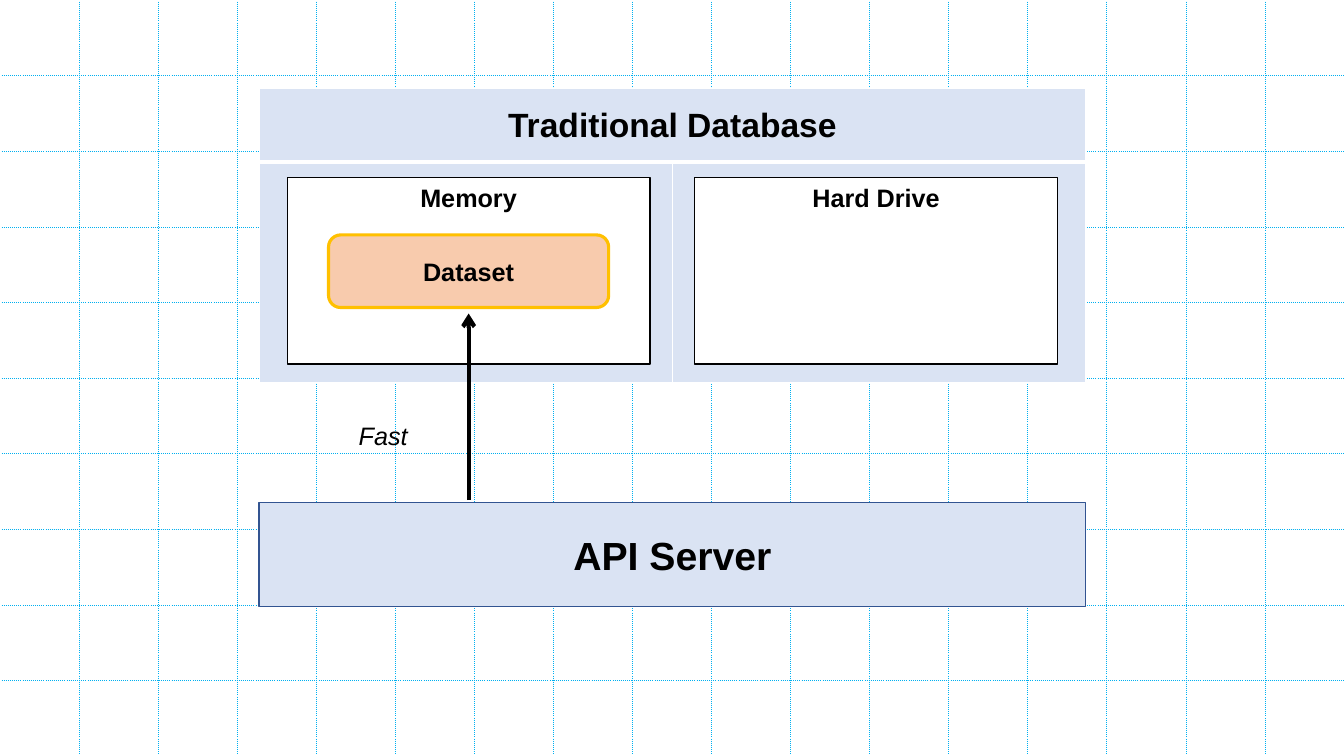
from collections import namedtuple

from lxml import etree
from pptx import Presentation
from pptx import util as u
from pptx.dml.color import RGBColor
from pptx.enum import shapes, text
from pptx.oxml import parse_xml
from pptx.oxml.ns import nsdecls, qn

WHITE = RGBColor(0xFF, 0xFF, 0xFF)
BLACK = RGBColor(0, 0, 0)
PALE_BLUE = RGBColor(0xDA, 0xE3, 0xF3)
NAVY = RGBColor(0x32, 0x54, 0x91)
GRID_BLUE = RGBColor(0x00, 0xB0, 0xF0)
PEACH = RGBColor(0xF8, 0xCB, 0xAD)
AMBER = RGBColor(0xFF, 0xC0, 0x00)

Box = namedtuple("Box", "left top width height")
SLIDE = Box(0, 0, 33.87, 19.05)
DATABASE = Box(6.53, 2.24, 20.83, 7.39)
SERVER = Box(DATABASE.left, 12.67, DATABASE.width, 2.62)
GRID_ROWS, GRID_COLUMNS = 10, 17
HEADING_HEIGHT = 1.85
STORE_INSET = 0.71


def lengths(box):
    """Turn a box in centimetres into slide lengths."""
    return [u.Cm(value) for value in box]


def write(frame, wording, size, anchor=text.MSO_ANCHOR.MIDDLE,
          align=text.PP_ALIGN.CENTER, **style):
    """Fill a text frame with one styled paragraph."""
    frame.text = wording
    frame.vertical_anchor = anchor
    paragraph = frame.paragraphs[0]
    paragraph.alignment = align
    font = paragraph.runs[0].font
    font.color.rgb = BLACK
    for name, value in {"name": "Arial", "size": u.Pt(size), **style}.items():
        setattr(font, name, value)


def add_borders(cell, color, dash, widths):
    """Draw the given sides of a cell, with widths in points."""
    properties = cell._tc.get_or_add_tcPr()
    sides = [side for side in "LRTB" if side in widths]
    for position, side in enumerate(sides):
        properties.insert(position, parse_xml(
            f'<a:ln{side} {nsdecls("a")} w="{u.Pt(widths[side])}">'
            f'<a:solidFill><a:srgbClr val="{color}"/></a:solidFill>'
            f'<a:prstDash val="{dash}"/></a:ln{side}>'))


def add_plain_table(slide, box, rows, columns):
    """Add a table without header or banding."""
    table = slide.shapes.add_table(rows, columns, *lengths(box)).table
    table.first_row = table.horz_banding = False
    return table


def add_grid(slide, box):
    """Cover the box with dotted inner grid lines."""
    grid = add_plain_table(slide, box, GRID_ROWS, GRID_COLUMNS)
    for row in range(GRID_ROWS):
        for column in range(GRID_COLUMNS):
            cell = grid.cell(row, column)
            cell.fill.background()
            inner = {"L": column > 0, "R": column < GRID_COLUMNS - 1,
                     "T": row > 0, "B": row < GRID_ROWS - 1}
            add_borders(cell, GRID_BLUE, "sysDot",
                        {side: 0.25 for side, shown in inner.items() if shown})


def add_block(slide, box, wording, size, fill, line, weight=1,
              kind=shapes.MSO_SHAPE.RECTANGLE, anchor=text.MSO_ANCHOR.MIDDLE):
    """Add a labelled block."""
    block = slide.shapes.add_shape(kind, *lengths(box))
    block.shadow.inherit = False
    block.fill.solid()
    block.fill.fore_color.rgb = fill
    block.line.color.rgb = line
    block.line.width = u.Pt(weight)
    write(block.text_frame, wording, size, anchor, bold=True)


def add_database(slide, box):
    """Add the database panel with its two stores and the dataset."""
    panel = add_plain_table(slide, box, 2, 2)
    for row, height in zip(panel.rows, (HEADING_HEIGHT, box.height - HEADING_HEIGHT)):
        row.height = u.Cm(height)
    panel.cell(0, 0).merge(panel.cell(0, 1))
    for row, (above, below) in enumerate([(1, 3), (3, 1)]):
        for column in range(2):
            cell = panel.cell(row, column)
            cell.fill.solid()
            cell.fill.fore_color.rgb = PALE_BLUE
            add_borders(cell, WHITE, "solid", {"L": 1, "R": 1, "T": above, "B": below})
    heading = panel.cell(0, 0)
    write(heading.text_frame, "Traditional Database", 24, bold=True)
    heading.vertical_anchor = text.MSO_ANCHOR.MIDDLE

    store = Box(box.left + STORE_INSET, box.top + 2.23, 9.14, 4.7)
    hard_drive_left = box.left + box.width - STORE_INSET - store.width
    for wording, left in (("Memory", store.left), ("Hard Drive", hard_drive_left)):
        add_block(slide, store._replace(left=left), wording, 18, WHITE, BLACK,
                  anchor=text.MSO_ANCHOR.TOP)
    dataset = Box(store.left + 1.04, store.top + 1.45, store.width - 2.08, 1.83)
    add_block(slide, dataset, "Dataset", 18, PEACH, AMBER, 2.25,
              shapes.MSO_SHAPE.ROUNDED_RECTANGLE)


def add_fast_path(slide, box):
    """Add the upward arrow on the right edge of the box and its label."""
    x = u.Cm(box.left + box.width)
    arrow = slide.shapes.add_connector(
        shapes.MSO_CONNECTOR.STRAIGHT, x, u.Cm(box.top + box.height), x, u.Cm(box.top))
    arrow.line.color.rgb = BLACK
    arrow.line.width = u.Pt(3)
    etree.SubElement(arrow.line._get_or_add_ln(), qn("a:tailEnd"), type="arrow")
    etree.SubElement(arrow._element.spPr, qn("a:effectLst"))

    label = slide.shapes.add_textbox(*lengths(Box(box.left, box.top + 2.56, 1.75, 1.02)))
    label.text_frame.word_wrap = False
    label.text_frame.auto_size = text.MSO_AUTO_SIZE.SHAPE_TO_FIT_TEXT
    write(label.text_frame, "Fast", 18, text.MSO_ANCHOR.TOP,
          text.PP_ALIGN.LEFT, italic=True)


def main():
    """Build the slide and save it."""
    deck = Presentation()
    deck.slide_width, deck.slide_height = lengths(SLIDE)[2:]
    slide = deck.slides.add_slide(deck.slide_layouts[6])
    add_grid(slide, SLIDE)
    add_database(slide, DATABASE)
    add_block(slide, SERVER, "API Server", 28, PALE_BLUE, NAVY)
    add_fast_path(slide, Box(8.79, 7.9, 3.02, 4.7))
    deck.save("out.pptx")


if __name__ == "__main__":
    main()
